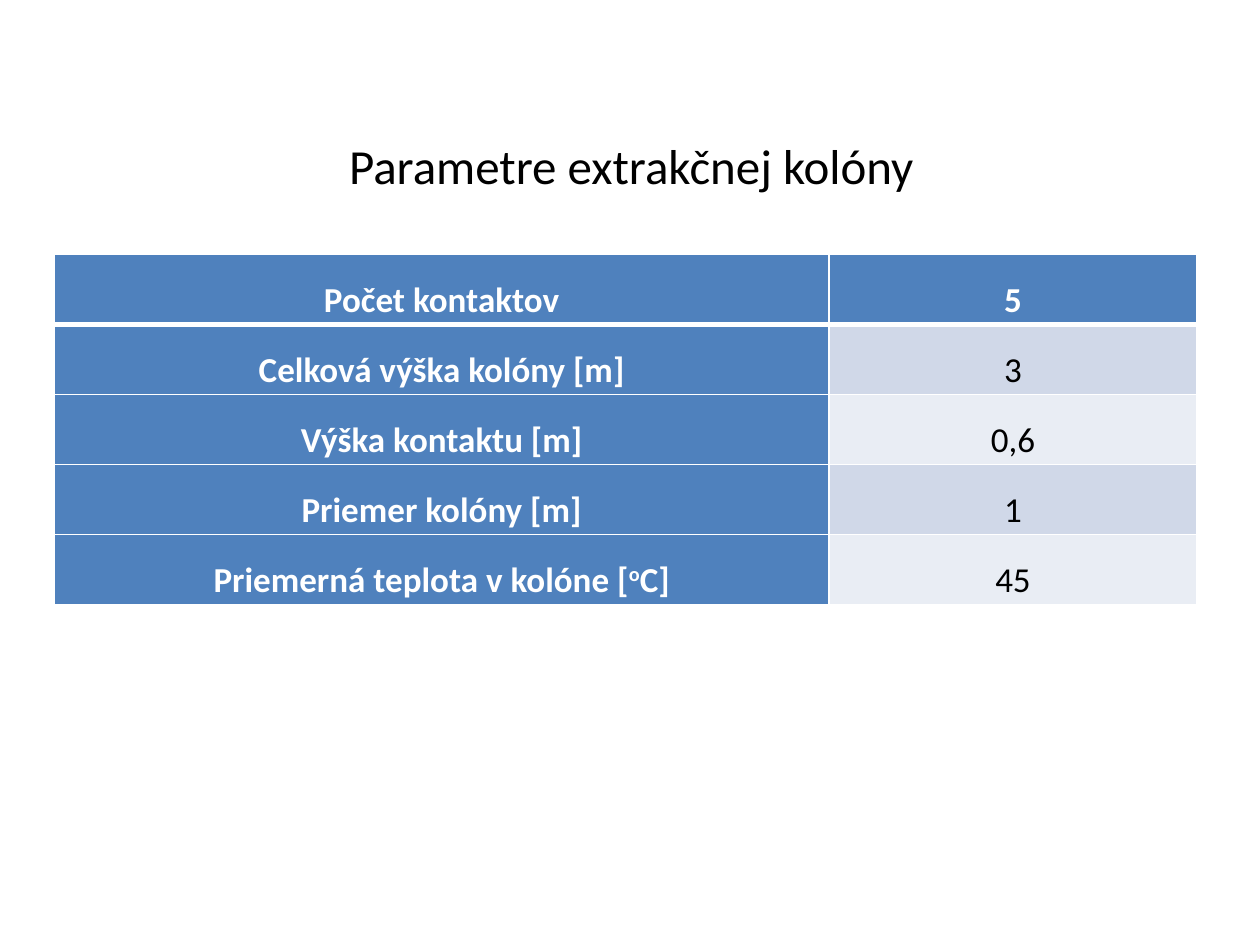
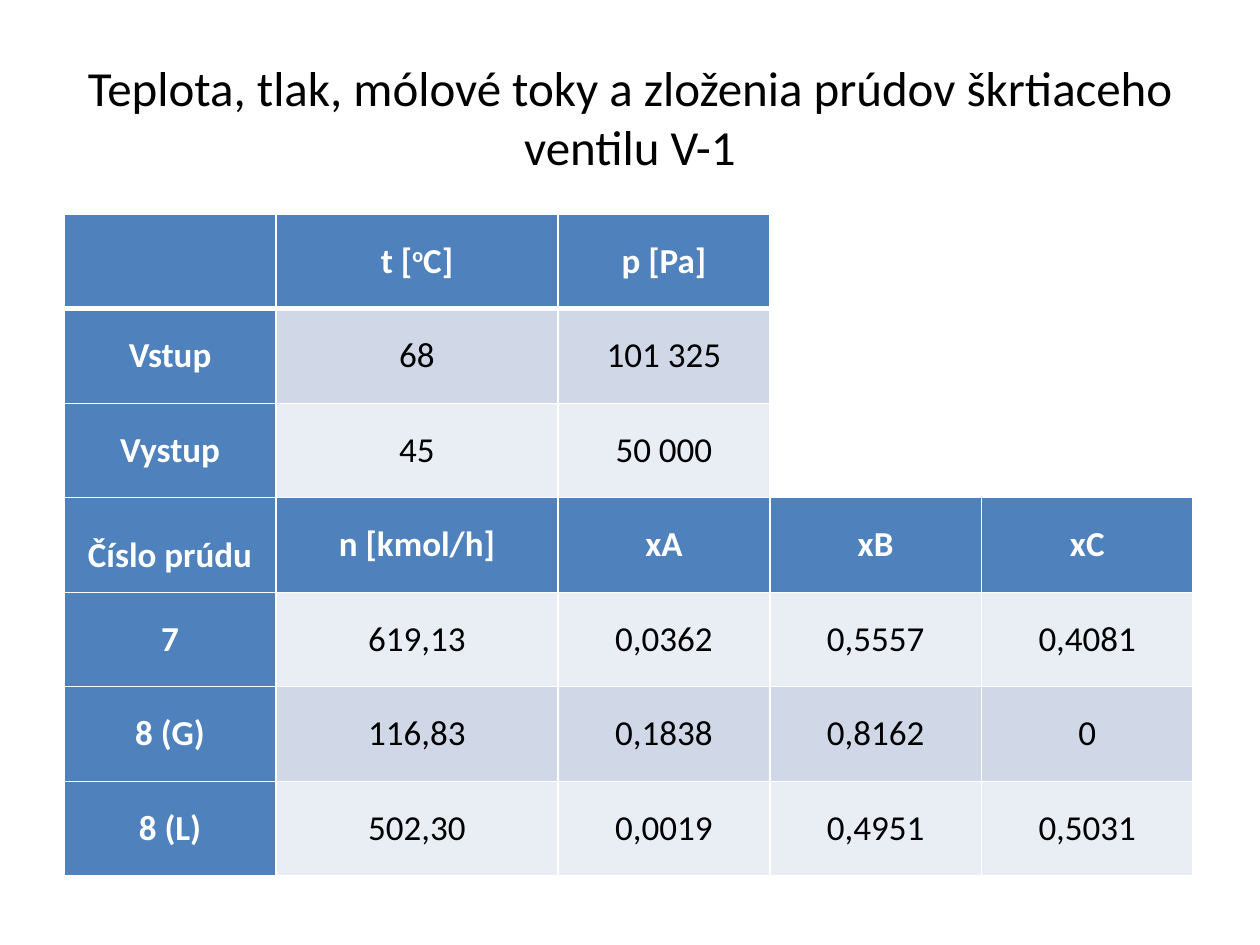
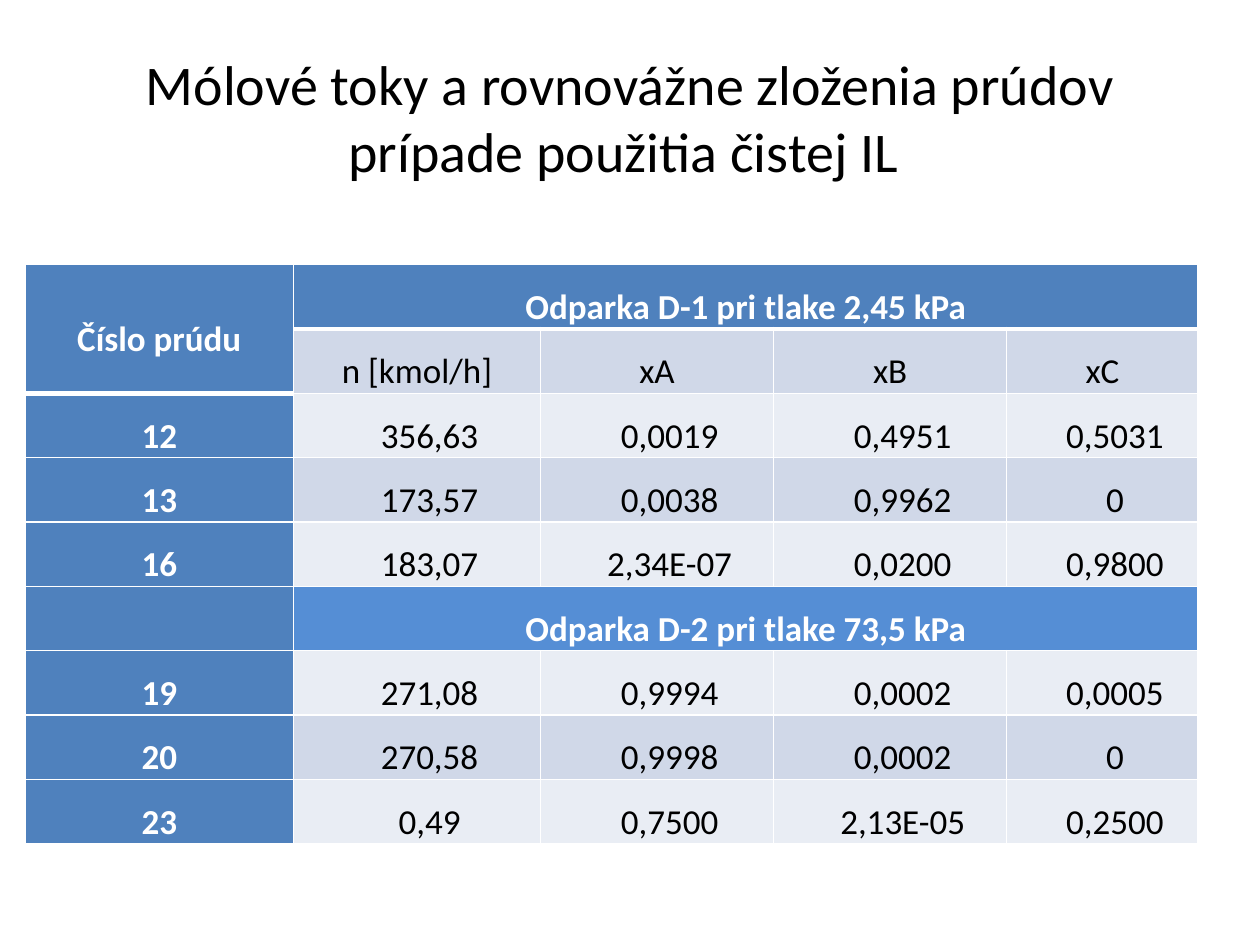
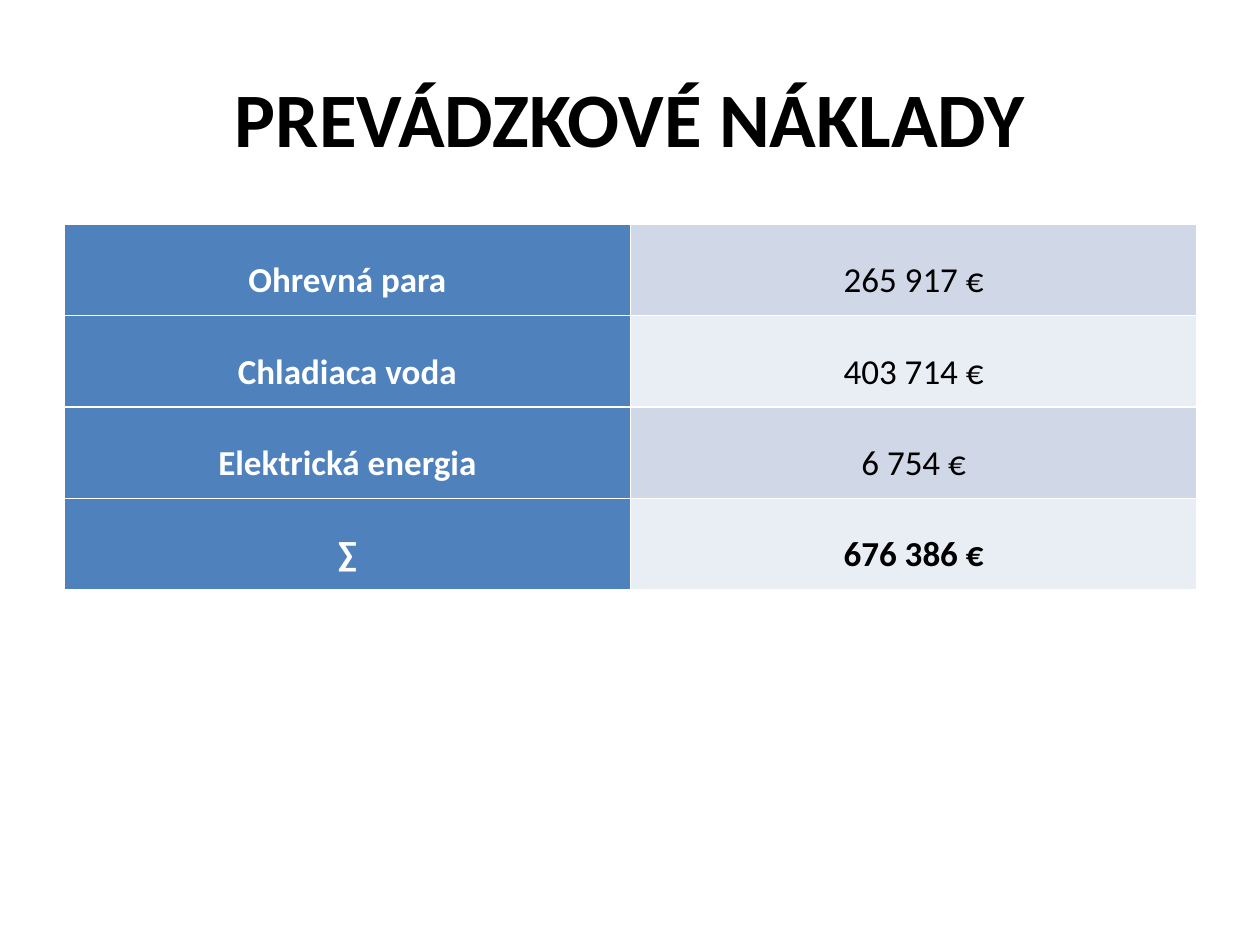
import lxml.etree
import pptx
import pptx.dml.color
import pptx.enum.text
import pptx.oxml.ns
import pptx.util

FONT = "Calibri"
WHITE, BLACK = "FFFFFF", "000000"
BLUE, LIGHT_BLUE = "4F81BD", "558ED5"
BANDS = ("D0D8E8", "E9EDF4")
WIDTH, HEIGHT = pptx.util.Inches(10), pptx.util.Inches(7.5)


def color(value):
    """Turn a hex string into a colour."""
    return pptx.dml.color.RGBColor.from_string(value)


def across(percent):
    """Return a percentage of the slide width."""
    return round(WIDTH * percent / 100)


def down(percent):
    """Return a percentage of the slide height."""
    return round(HEIGHT * percent / 100)


def write_text(frame, text, size=20, ink=BLACK, bold=False, spacing=None, indent=0):
    """Write one centred paragraph; parts between carets are superscript."""
    para = frame.paragraphs[0]
    para.alignment = pptx.enum.text.PP_ALIGN.CENTER
    if spacing:
        para.line_spacing = spacing
    if indent:
        para._p.get_or_add_pPr().set("indent", str(pptx.util.Inches(indent)))
    for number, part in enumerate(text.split("^")):
        span = para.add_run()
        span.text = part
        span.font.name = FONT
        span.font.size = pptx.util.Pt(size)
        span.font.bold = bold
        span.font.color.rgb = color(ink)
        if number % 2:
            span.font._element.set("baseline", "30000")


def add_page(deck, title, size=28, bold=False, left=5, top=4):
    """Add a slide with a formatted title."""
    page = deck.slides.add_slide(deck.slide_layouts[5])
    box = page.shapes.title
    box.left, box.top = across(left), down(top)
    box.width, box.height = across(90), down(16.67)
    frame = box.text_frame
    frame.word_wrap = True
    frame.auto_size = pptx.enum.text.MSO_AUTO_SIZE.NONE
    frame.vertical_anchor = pptx.enum.text.MSO_ANCHOR.MIDDLE
    write_text(frame, title, size=size, bold=bold)
    return page


def add_border(cell, side, points):
    """Draw a white border on one side of a cell."""
    name = pptx.oxml.ns.qn
    line = lxml.etree.SubElement(cell._tc.get_or_add_tcPr(), name(f"a:ln{side}"),
                                 w=str(pptx.util.Pt(points)))
    fill = lxml.etree.SubElement(line, name("a:solidFill"))
    lxml.etree.SubElement(fill, name("a:srgbClr"), val=WHITE)


def format_cell(cell, row, column, has_header, inset):
    """Set the borders, margins and anchor of a cell."""
    if column == 0:
        add_border(cell, "L", 1)
    add_border(cell, "R", 1)
    if row == 0:
        add_border(cell, "T", 1)
    add_border(cell, "B", 3 if has_header and row == 0 else 1)
    cell.margin_left = cell.margin_right = pptx.util.Inches(inset)
    cell.margin_top = cell.margin_bottom = 0
    cell.vertical_anchor = pptx.enum.text.MSO_ANCHOR.MIDDLE


def add_grid(page, rows, left, top, columns, row_height, heads=(0,), merges=(),
             inset=0.07, spacing=1.5, indent_from=None, special=None):
    """Add a banded table; None marks a cell without a fill."""
    special = special or {}
    has_header = 0 in heads
    table = page.shapes.add_table(
        len(rows), len(columns), across(left), down(top),
        across(sum(columns)), down(row_height * len(rows))).table
    table.first_row = table.horz_banding = False
    for column, width in enumerate(columns):
        table.columns[column].width = across(width)
    for row, values in enumerate(rows):
        table.rows[row].height = down(row_height)
        for column, value in enumerate(values):
            cell = table.cell(row, column)
            format_cell(cell, row, column, has_header, inset)
            if value is None:
                cell.fill.background()
                continue
            is_head = column == 0 or row in heads
            style = {"fill": BLUE if is_head else BANDS[(row - has_header) % 2],
                     "ink": WHITE if is_head else BLACK,
                     "bold": is_head, "spacing": spacing}
            if indent_from is not None and row >= indent_from and not is_head:
                style["indent"] = 0.2
            style.update(special.get((row, column), {}))
            cell.fill.solid()
            cell.fill.fore_color.rgb = color(style.pop("fill"))
            if value:
                write_text(cell.text_frame, value, **style)
    for first, last in merges:
        table.cell(*first).merge(table.cell(*last))


def add_column_page(deck):
    """Build the slide with the extraction column parameters."""
    page = add_page(deck, "Parametre extrakčnej kolóny", left=5.1, top=9.07)
    rows = [("Počet kontaktov", "5"),
            ("Celková výška kolóny [m]", "3"),
            ("Výška kontaktu [m]", "0,6"),
            ("Priemer kolóny [m]", "1"),
            ("Priemerná teplota v kolóne [^o^C]", "45")]
    add_grid(page, rows, 4.3, 26.93, (61.5, 29.2), 7.41)


def add_valve_page(deck):
    """Build the slide with the throttle valve streams."""
    page = add_page(deck, "Teplota, tlak, mólové toky a zloženia prúdov "
                          "škrtiaceho ventilu V-1")
    rows = [("", "t [^o^C]", "p [Pa]", None, None),
            ("Vstup", "68", "101 325", None, None),
            ("Vystup", "45", "50 000", None, None),
            ("Číslo prúdu", "n [kmol/h]", "xA", "xB", "xC"),
            ("7", "619,13", "0,0362", "0,5557", "0,4081"),
            ("8 (G)", "116,83", "0,1838", "0,8162", "0"),
            ("8 (L)", "502,30", "0,0019", "0,4951", "0,5031")]
    add_grid(page, rows, 5.1, 22.67, (16.8, 22.4, 16.8, 16.8, 16.8), 10,
             heads=(0, 3), merges=[((row, 3), (row, 4)) for row in range(3)],
             inset=0.01, spacing=None, special={(3, 0): {"spacing": 1.5}})


def add_evaporator_page(deck):
    """Build the slide with the evaporator streams."""
    page = add_page(deck, "Mólové toky a rovnovážne zloženia prúdov "
                          "prípade použitia čistej IL ", size=32)
    rows = [("Číslo prúdu", "Odparka D-1 pri tlake 2,45 kPa", "", "", ""),
            ("", "n [kmol/h]", "xA", "xB", "xC"),
            ("12", "356,63", "0,0019", "0,4951", "0,5031"),
            ("13", "173,57", "0,0038", "0,9962", "0"),
            ("16", "183,07", "2,34E-07", "0,0200", "0,9800"),
            ("", "Odparka D-2 pri tlake 73,5 kPa", "", "", ""),
            ("19", "271,08", "0,9994", "0,0002", "0,0005"),
            ("20", "270,58", "0,9998", "0,0002", "0"),
            ("23", "0,49", "0,7500", "2,13E-05", "0,2500")]
    add_grid(page, rows, 2, 28, (21.3, 19.6, 18.5, 18.5, 15.2), 6.67, heads=(0, 5),
             merges=[((0, 0), (1, 0)), ((0, 1), (0, 4)), ((5, 1), (5, 4))],
             indent_from=2, special={(5, 1): {"fill": LIGHT_BLUE}})


def add_cost_page(deck):
    """Build the slide with the operating costs."""
    page = add_page(deck, "PREVÁDZKOVÉ NÁKLADY", size=44, bold=True)
    rows = [("Ohrevná para", "265 917 €"),
            ("Chladiaca voda", "403 714 €"),
            ("Elektrická energia", "6 754 €"),
            ("∑", "676 386 €")]
    add_grid(page, rows, 5.1, 23.73, (44.95, 44.95), 9.67, heads=(),
             special={(3, 1): {"bold": True}})


def main():
    """Build and save the deck."""
    deck = pptx.Presentation()
    deck.slide_width, deck.slide_height = WIDTH, HEIGHT
    add_column_page(deck)
    add_valve_page(deck)
    add_evaporator_page(deck)
    add_cost_page(deck)
    deck.save("out.pptx")


if __name__ == "__main__":
    main()
